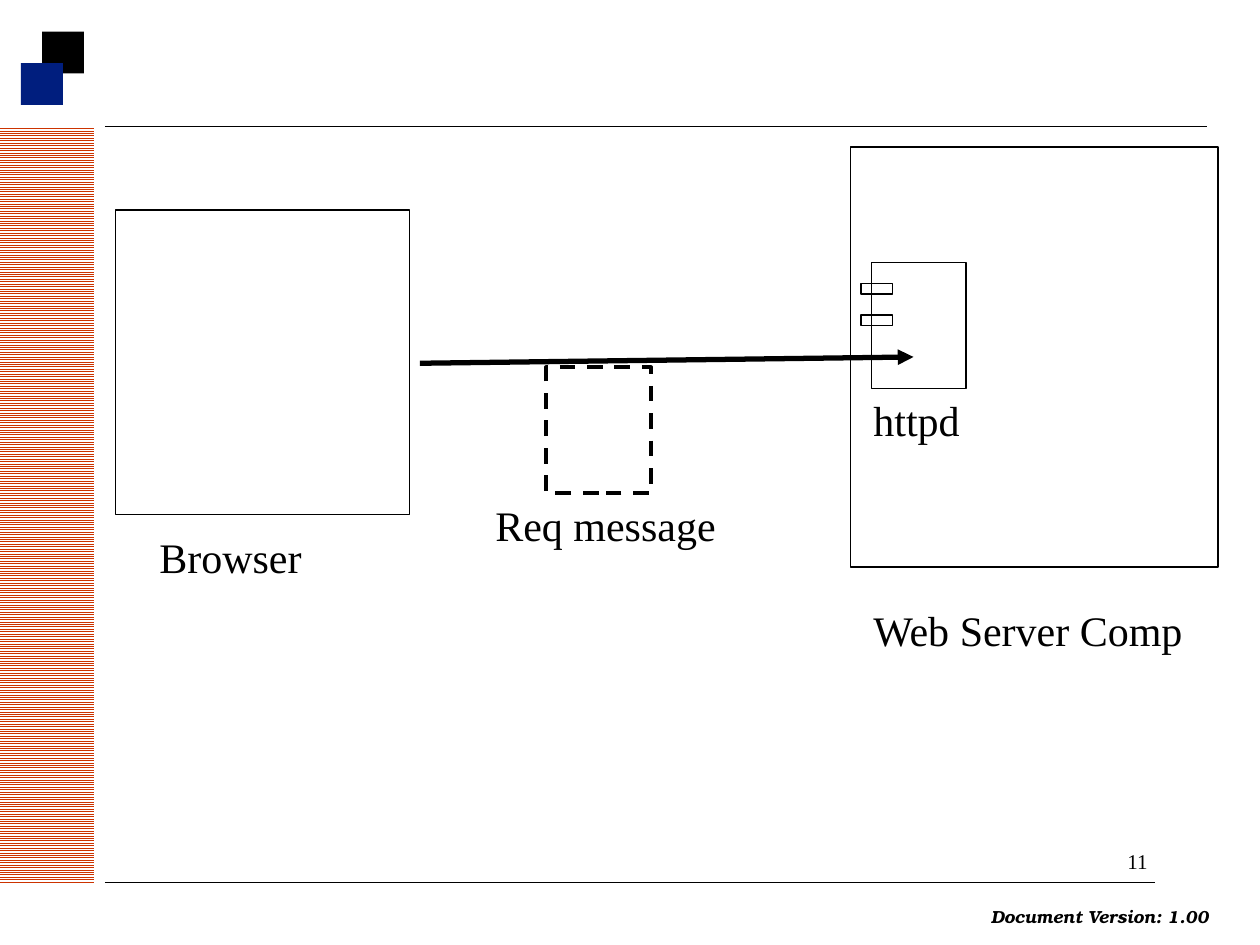
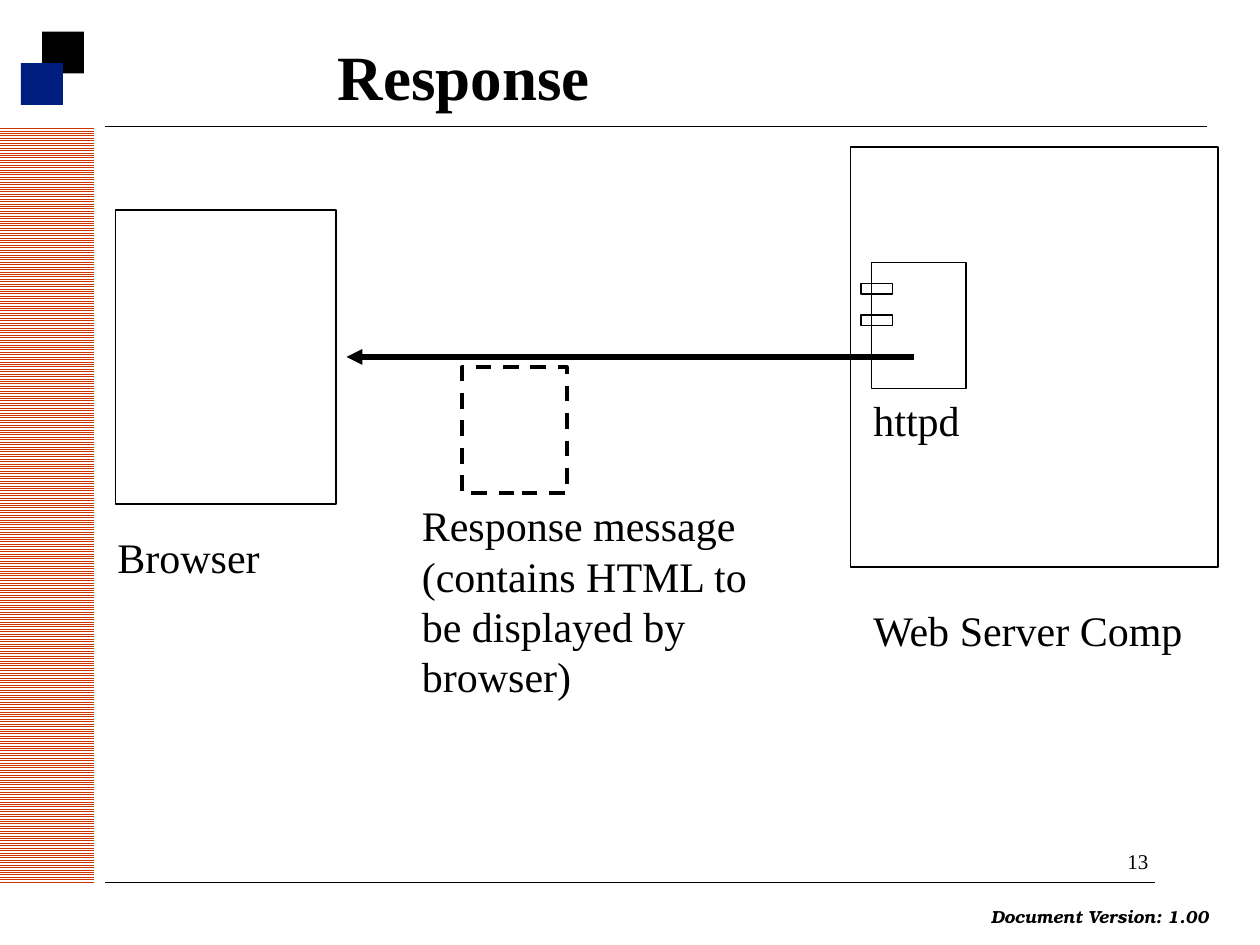
from lxml.etree import SubElement
from pptx import Presentation
from pptx.dml.color import RGBColor
from pptx.enum.dml import MSO_LINE as Dash, MSO_PATTERN as Hatch
from pptx.enum.shapes import MSO_CONNECTOR as Link, MSO_SHAPE as Form
from pptx.enum.text import MSO_AUTO_SIZE as Fit
from pptx.oxml.ns import qn
from pptx.util import Pt

SCALE = 7620
BLACK, BLUE, RED, WHITE = "000000", "001E7E", "CC3300", "FFFFFF"
SERIF = "Times New Roman"
LABEL = {"name": SERIF, "size": Pt(24)}
TITLE = {"name": SERIF, "size": Pt(36), "bold": True}
NUMBER = {"name": SERIF, "size": Pt(12)}
FOOTER = {"name": "TeX Gyre Bonum", "size": Pt(10), "bold": True, "italic": True}
THIN = {"width": Pt(0.75)}
DASHED = {"width": Pt(2.25), "dash_style": Dash.DASH}


def emu(*sizes):
    return [size * SCALE for size in sizes]


def tint(code):
    return RGBColor.from_string(code)


def style(item, values):
    for key, value in values.items():
        setattr(item, key, value)


def block(slide, box, fill=None):
    shape = slide.shapes.add_shape(Form.RECTANGLE, *emu(*box))
    shape.shadow.inherit = False
    if fill:
        shape.fill.solid()
        shape.fill.fore_color.rgb = tint(fill)
    else:
        shape.fill.background()
    shape.line.fill.background()
    return shape


def frame(slide, box, look=THIN):
    line = block(slide, box).line
    line.color.rgb = tint(BLACK)
    style(line, look)


def rule(slide, start, stop, width, tip=None):
    line = slide.shapes.add_connector(Link.STRAIGHT, *emu(*start, *stop))
    line.line.color.rgb = tint(BLACK)
    line.line.width = Pt(width)
    props = line._element.spPr
    if tip:
        SubElement(props.find(qn("a:ln")), qn(tip)).set("type", "triangle")
    SubElement(props, qn("a:effectLst"))


def text(slide, box, words, look=LABEL, wrap=True):
    body = slide.shapes.add_textbox(*emu(*box)).text_frame
    style(body, {"word_wrap": wrap, "auto_size": Fit.SHAPE_TO_FIT_TEXT})
    par = body.paragraphs[0]
    run = par.add_run()
    run.text = words
    style(run.font, look)
    run.font.color.rgb = tint(BLACK)


def base(slide, page):
    band = block(slide, (-315, 435, 720, 90))
    band.rotation = 270
    band.fill.patterned()
    band.fill.pattern = Hatch.LIGHT_HORIZONTAL
    band.fill.fore_color.rgb = tint(RED)
    band.fill.back_color.rgb = tint(WHITE)
    rule(slide, (100, 120), (1150, 120), 0.25)
    block(slide, (40, 30, 40, 40), BLACK)
    block(slide, (20, 60, 40, 40), BLUE)
    text(slide, (932, 857, 233, 32), "Document Version: 1.00", FOOTER, False)
    rule(slide, (100, 840), (1100, 840), 0.25)
    text(slide, (1062, 802, 48, 36), str(page), NUMBER, False)


def server(slide, box):
    x, y, w, h = box
    frame(slide, box)
    frame(slide, (x + 20, y + 110, 90, 120))
    for row in range(2):
        frame(slide, (x + 10, y + 130 + 30 * row, 30, 10))
    text(slide, (x + 10, y + h + 30, w, 60), "Web Server Comp")
    text(slide, (x + 10, y + 230, 120, 60), "httpd")


def client(slide, box, left):
    frame(slide, box)
    text(slide, (left, 500, 230, 60), "Browser")


def message(slide, box, words, note):
    x, y, w, h = box
    frame(slide, box, DASHED)
    shift, width, tall = note
    text(slide, (x - shift, y + h, width, tall), words)


def scene(deck, page, browser, label, start, tip, packet, words, note, title=None):
    slide = deck.slides.add_slide(deck.slide_layouts[6])
    base(slide, page)
    client(slide, browser, label)
    server(slide, (810, 140, 350, 400))
    rule(slide, start, (870, 340), 3, tip)
    message(slide, packet, words, note)
    if title:
        text(slide, (310, 30, 310, 84), title, TITLE)


def main():
    deck = Presentation()
    deck.slide_width, deck.slide_height = emu(1200, 900)
    scene(deck, 11, (110, 200, 280, 290), 140, (400, 346), "a:tailEnd",
          (520, 350, 100, 120), "Req message", (60, 250, 60))
    scene(deck, 13, (110, 200, 210, 280), 100, (330, 340), "a:headEnd",
          (440, 350, 100, 120),
          "Response message (contains HTML to be displayed by browser)",
          (50, 350, 204), "Response")
    deck.save("out.pptx")


if __name__ == "__main__":
    main()
